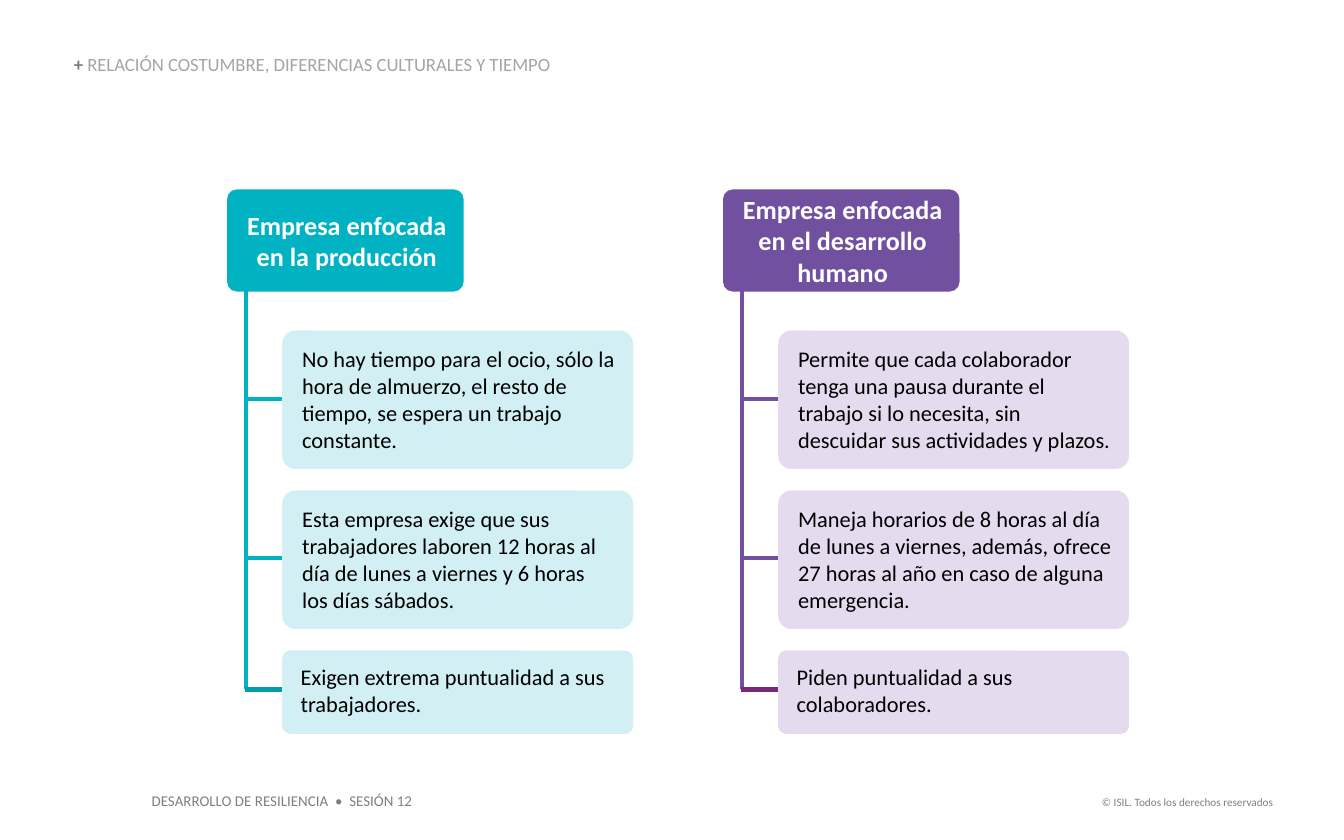
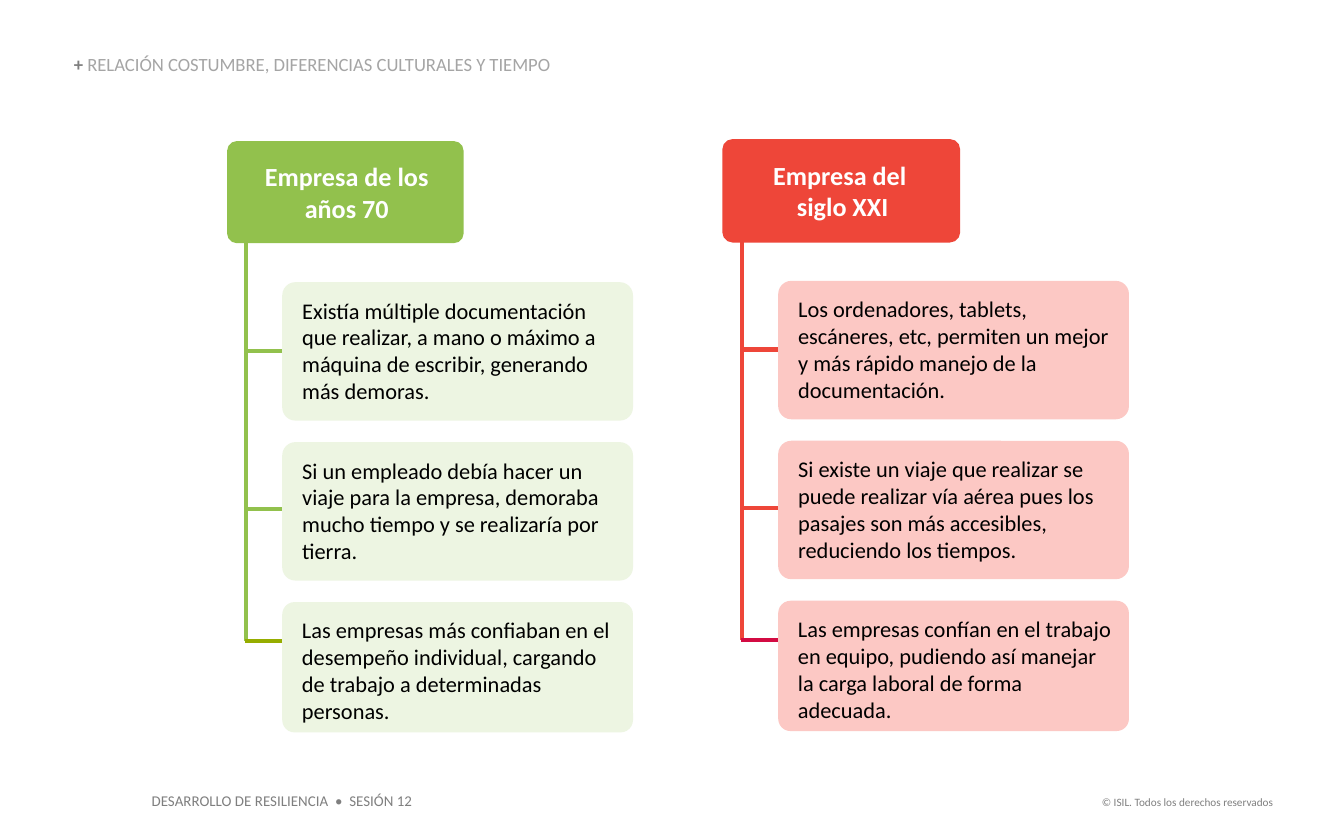
import pptx
import pptx.dml.color
import pptx.enum.shapes
import pptx.enum.text
import pptx.oxml.ns
import pptx.util
from lxml import etree

Inches = pptx.util.Inches
ALIGN = pptx.enum.text.PP_ALIGN
ANCHOR = pptx.enum.text.MSO_ANCHOR

FONT = "Calibri"
COLORS = {
    "white": "FFFFFF",
    "text": "000000",
    "footer": "7F7F7F",
    "title": "A5A5A5",
}
# Each theme: header and lines, last branch, cards
THEMES = {
    "teal": {"main": "00B2C2", "last": "009FA7", "card": "D2EFF4"},
    "purple": {"main": "7150A0", "last": "772978", "card": "E4DCEE"},
    "green": {"main": "92C14D", "last": "96AD00", "card": "EDF5E2"},
    "red": {"main": "EE4639", "last": "D30B43", "card": "FCC8C4"},
}

TITLE = "RELACIÓN COSTUMBRE, DIFERENCIAS CULTURALES Y TIEMPO"
SESSION = "DESARROLLO DE RESILIENCIA  •  SESIÓN 12"
RIGHTS = "© ISIL. Todos los derechos reservados"

HEADER_SIZE = (1.76, 0.76)
CARD_WIDTH, CARD_HEIGHT = 2.61, 1.03
CARD_INDENT, CARD_TOP, CARD_STEP = 0.41, 1.05, 1.19
TRUNK_INDENT, TRUNK_TOP = 0.14, 0.74
BRANCH_TOPS = (1.56, 2.74, 3.72)
BRANCH_LENGTH = 0.81

PAGES = [
    [
        {
            "at": (1.69, 1.41), "theme": "teal", "last_height": 0.62,
            "header": "Empresa enfocada en la producción",
            "cards": [
                "No hay tiempo para el ocio, sólo la hora de almuerzo, el resto "
                "de tiempo, se espera un trabajo constante.",
                "Esta empresa exige que sus trabajadores laboren 12 horas al día "
                "de lunes a viernes y 6 horas los días sábados.",
                "Exigen extrema puntualidad a sus trabajadores.",
            ],
        },
        {
            "at": (5.38, 1.41), "theme": "purple", "last_height": 0.62,
            "header": "Empresa enfocada en el desarrollo humano",
            "cards": [
                "Permite que cada colaborador tenga una pausa durante el trabajo "
                "si lo necesita, sin descuidar sus actividades y plazos.",
                "Maneja horarios de 8 horas al día de lunes a viernes, además, "
                "ofrece 27 horas al año en caso de alguna emergencia.",
                "Piden puntualidad a sus colaboradores.",
            ],
        },
    ],
    [
        {
            "at": (1.69, 1.05), "theme": "green", "last_height": 0.97,
            "header": "Empresa de los años 70",
            "cards": [
                "Existía múltiple documentación que realizar, a mano o máximo a "
                "máquina de escribir, generando más demoras.",
                "Si un empleado debía hacer un viaje para la empresa, demoraba "
                "mucho tiempo y se realizaría por tierra.",
                "Las empresas más confiaban en el desempeño individual, cargando "
                "de trabajo a determinadas personas.",
            ],
        },
        {
            "at": (5.38, 1.04), "theme": "red", "last_height": 0.97,
            "header": "Empresa del \nsiglo XXI", "outlined": True,
            "cards": [
                "Los ordenadores, tablets, escáneres, etc, permiten un mejor y "
                "más rápido manejo de la documentación.",
                "Si existe un viaje que realizar se puede realizar vía aérea pues "
                "los pasajes son más accesibles, reduciendo los tiempos.",
                "Las empresas confían en el trabajo en equipo, pudiendo así "
                "manejar la carga laboral de forma adecuada.",
            ],
        },
    ],
]


def rgb(value):
    return pptx.dml.color.RGBColor.from_string(value)


def inches(*values):
    return [Inches(value) for value in values]


def write_text(shape, text, size, color, bold=False, lead=None, align=ALIGN.LEFT,
               anchor=ANCHOR.TOP, insets=(0.1, 0.05, 0.1, 0.05), spacing=None):
    """Fill a shape with one paragraph, after an optional bold grey lead."""
    frame = shape.text_frame
    frame.word_wrap = True
    frame.vertical_anchor = anchor
    (frame.margin_left, frame.margin_top,
     frame.margin_right, frame.margin_bottom) = inches(*insets)
    para = frame.paragraphs[0]
    para.alignment = align
    if spacing:
        para.line_spacing = spacing

    def add_span(words, span_color, span_bold):
        span = para.add_run()
        span.text = words
        span.font.name = FONT
        span.font.size = pptx.util.Pt(size)
        span.font.bold = span_bold
        span.font.color.rgb = rgb(span_color)

    if lead:
        add_span(lead, COLORS["footer"], True)
    for number, words in enumerate(text.split("\n")):
        if number:
            para.add_line_break()
        add_span(words, color, bold)


def add_label(page, box, text, size, color, **text_format):
    label = page.shapes.add_textbox(*inches(*box))
    write_text(label, text, size, color, **text_format)
    label.text_frame.auto_size = pptx.enum.text.MSO_AUTO_SIZE.SHAPE_TO_FIT_TEXT


def add_panel(page, box, fill, outline=None):
    panel = page.shapes.add_shape(
        pptx.enum.shapes.MSO_SHAPE.ROUNDED_RECTANGLE, *inches(*box))
    panel.adjustments[0] = 0.095
    panel.shadow.inherit = False
    panel.fill.solid()
    panel.fill.fore_color.rgb = rgb(fill)
    if outline:
        panel.line.color.rgb = rgb(outline)
        panel.line.width = pptx.util.Pt(0.75)
    else:
        panel.line.fill.background()
    return panel


def add_line(page, start, end, color):
    line = page.shapes.add_connector(
        pptx.enum.shapes.MSO_CONNECTOR.STRAIGHT, *inches(*start, *end))
    line.line.color.rgb = rgb(color)
    line.line.width = pptx.util.Pt(2.25)
    etree.SubElement(line._element.spPr, pptx.oxml.ns.qn("a:effectLst"))


def add_footer(page):
    add_label(page, (1.03, 5.84, 2.14, 0.24), SESSION, 8, COLORS["footer"])
    add_label(page, (8.07, 5.87, 1.5, 0.2), RIGHTS, 6, COLORS["footer"],
              align=ALIGN.RIGHT)


def add_title(page):
    add_label(page, (0.55, 0.41, 5.63, 0.15), TITLE, 10, COLORS["title"],
              lead="+ ", anchor=ANCHOR.BOTTOM, insets=(0, 0, 0, 0), spacing=0.9)


def add_company_tree(page, at, theme, header, cards, last_height, outlined=False):
    """Draw a header with a trunk and one branch for each card below it."""
    left, top = at
    palette = THEMES[theme]
    trunk = left + TRUNK_INDENT
    add_line(page, (trunk, top + TRUNK_TOP), (trunk, top + BRANCH_TOPS[-1]),
             palette["main"])
    heading = add_panel(page, (left, top, *HEADER_SIZE), palette["main"],
                        outline=palette["main"] if outlined else None)
    write_text(heading, header, 14, COLORS["white"], bold=True, align=ALIGN.CENTER,
               anchor=ANCHOR.MIDDLE, insets=(0.12, 0.05, 0.1, 0.05))

    for row, (branch_top, text) in enumerate(zip(BRANCH_TOPS, cards)):
        is_last = row == len(cards) - 1
        branch = trunk - 0.01
        add_line(page, (branch + BRANCH_LENGTH, top + branch_top),
                 (branch, top + branch_top), palette["last" if is_last else "main"])
        box = (left + CARD_INDENT, top + CARD_TOP + row * CARD_STEP,
               CARD_WIDTH, last_height if is_last else CARD_HEIGHT)
        card = add_panel(page, box, palette["card"])
        write_text(card, text, 12, COLORS["text"], insets=(0.12, 0.08, 0.1, 0.05))


def add_comparison(deck, trees):
    page = deck.slides.add_slide(deck.slide_layouts[6])
    add_footer(page)
    for tree in trees:
        add_company_tree(page, **tree)
    add_title(page)


def main():
    deck = pptx.Presentation()
    deck.slide_width, deck.slide_height = inches(10, 6.25)
    for trees in PAGES:
        add_comparison(deck, trees)
    deck.save("out.pptx")


if __name__ == "__main__":
    main()
